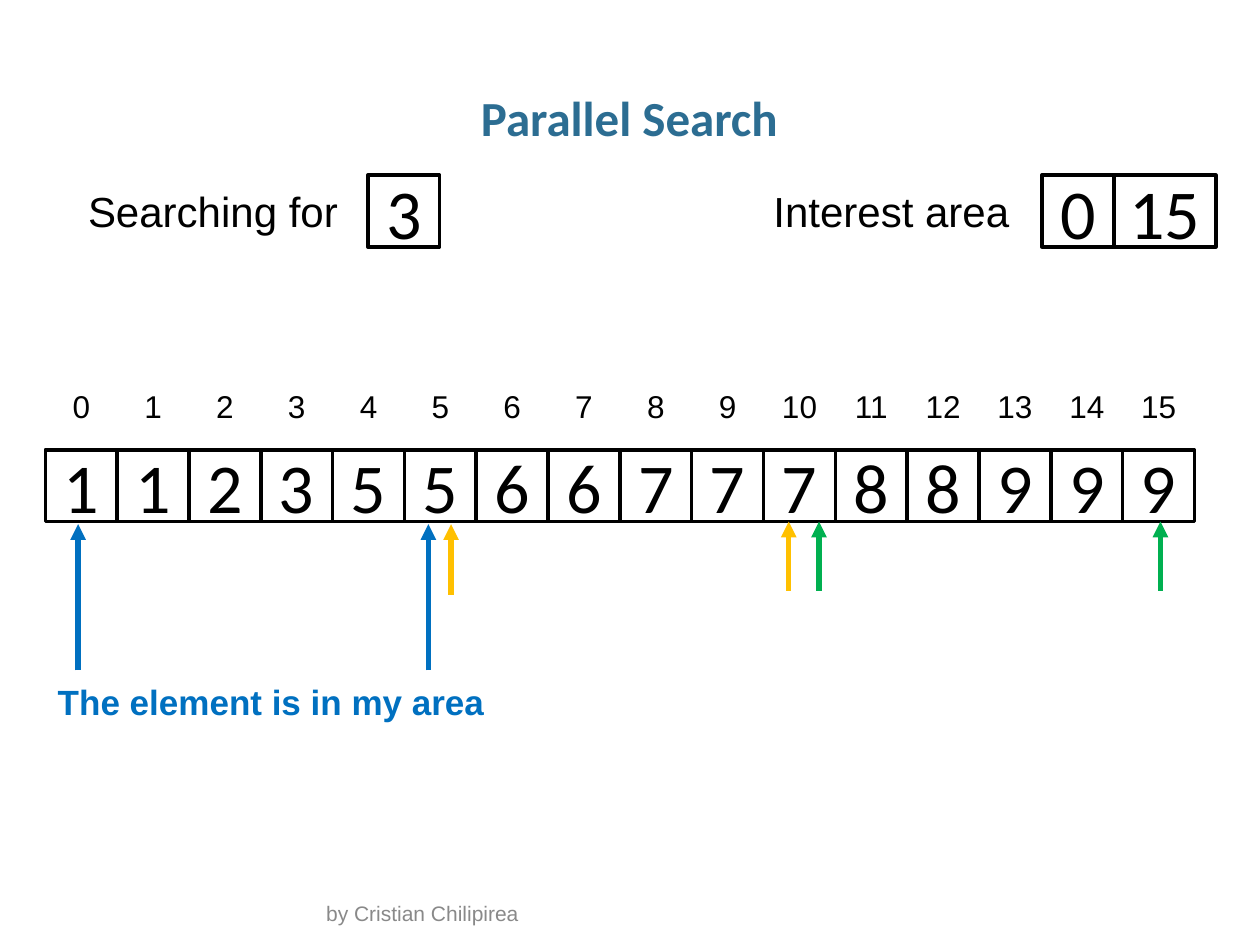
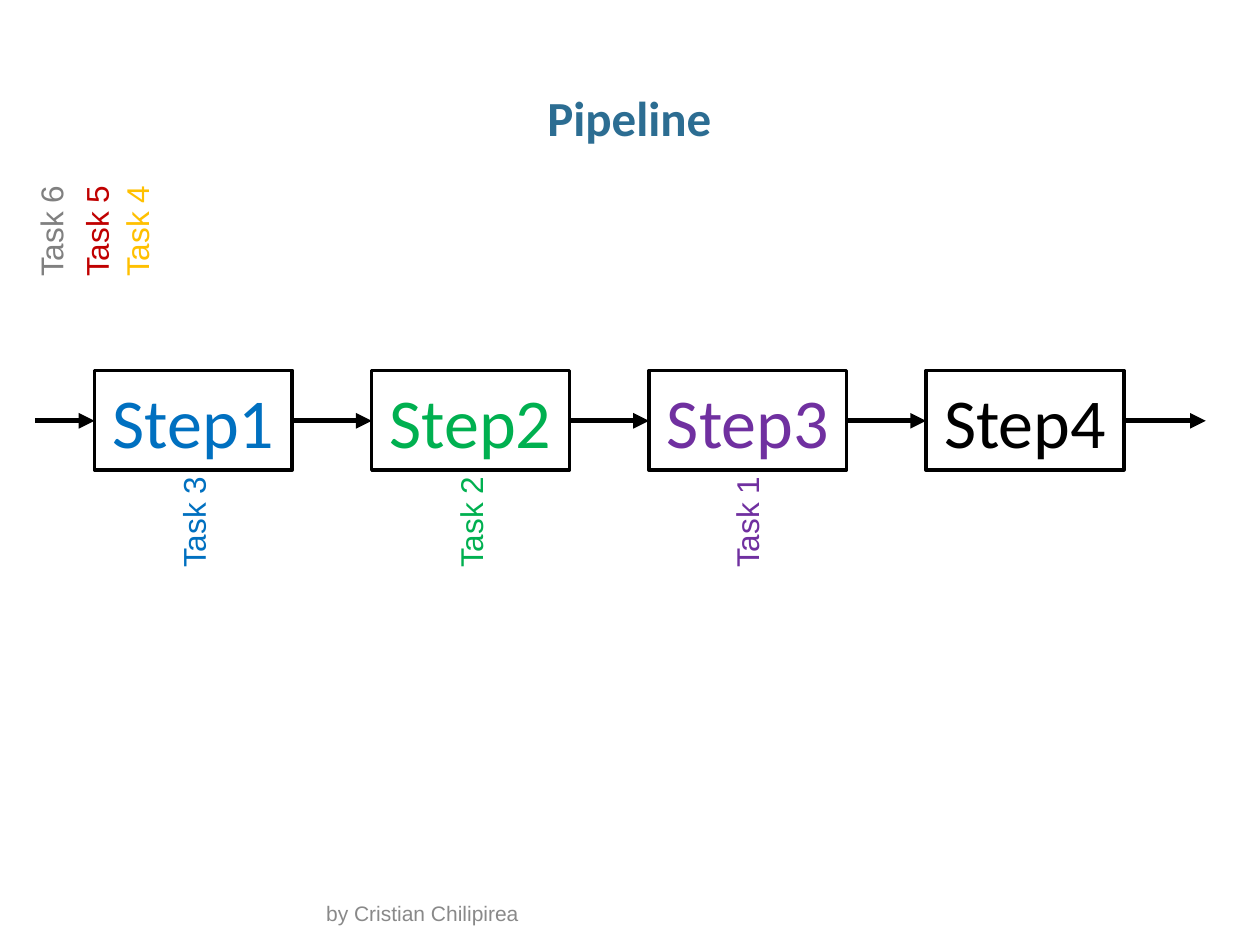
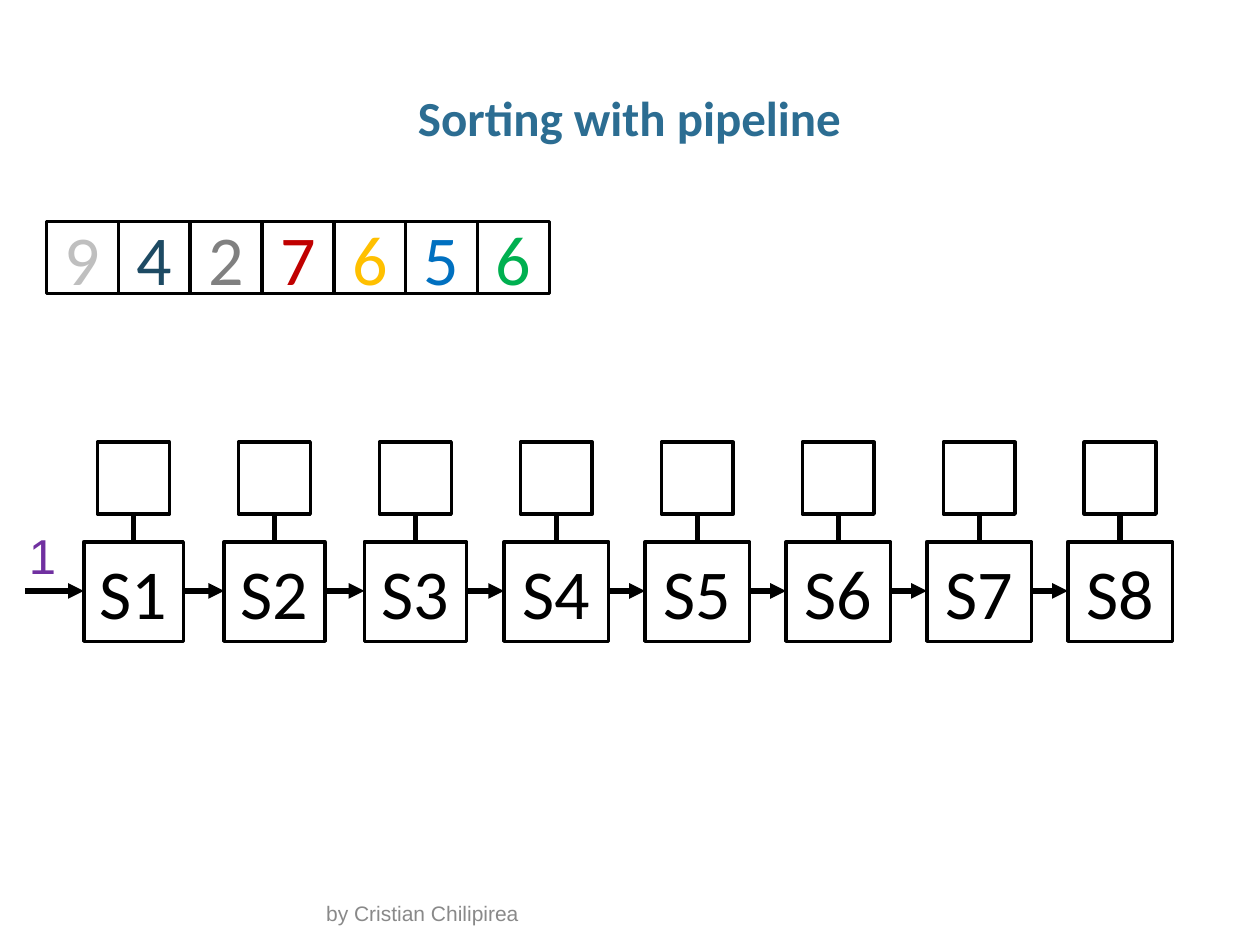
from pptx import Presentation
from pptx.dml.color import RGBColor
from pptx.enum.shapes import MSO_CONNECTOR, MSO_SHAPE
from pptx.enum.text import MSO_ANCHOR, MSO_AUTO_SIZE, PP_ALIGN
from pptx.oxml.ns import qn
from pptx.util import Inches, Pt
from lxml.etree import SubElement

# Colours
BLACK = RGBColor(0x00, 0x00, 0x00)
TITLE_BLUE = RGBColor(0x2C, 0x6D, 0x92)
FOOTER_GREY = RGBColor(0x89, 0x89, 0x89)
BLUE = RGBColor(0x00, 0x70, 0xC0)
NAVY = RGBColor(0x1D, 0x4A, 0x63)
GREEN = RGBColor(0x00, 0xB0, 0x50)
AMBER = RGBColor(0xFF, 0xC0, 0x00)
PURPLE = RGBColor(0x70, 0x30, 0xA0)
RED = RGBColor(0xC0, 0x00, 0x00)
GREY = RGBColor(0x80, 0x80, 0x80)
SILVER = RGBColor(0xBF, 0xBF, 0xBF)

# Font formats
TITLE = {"name": "Calibri", "size": Pt(28), "bold": True}
VALUE = {"name": "Calibri", "size": Pt(40)}
FOOTER = {"name": "Arial", "size": Pt(12)}
INDEX = {"name": "Arial", "size": Pt(18)}
TASK = INDEX
CAPTION = {"name": "Arial", "size": Pt(24)}
FINDING = {"name": "Arial", "size": Pt(20), "bold": True}
INPUT = {"name": "Arial", "size": Pt(28)}

CELL = 0.57  # side of an array cell


def write(frame, text, font_format, color, align=PP_ALIGN.LEFT):
    paragraph = frame.paragraphs[0]
    paragraph.alignment = align
    run = paragraph.add_run()
    run.text = text
    for attribute, value in font_format.items():
        setattr(run.font, attribute, value)
    run.font.color.rgb = color
    return paragraph


def add_label(slide, text, left, top, width, height, font_format,
              color=BLACK, align=PP_ALIGN.LEFT, rotation=0):
    label = slide.shapes.add_textbox(
        Inches(left), Inches(top), Inches(width), Inches(height))
    label.rotation = rotation
    label.text_frame.word_wrap = False
    label.text_frame.auto_size = MSO_AUTO_SIZE.SHAPE_TO_FIT_TEXT
    write(label.text_frame, text, font_format, color, align)


def add_box(slide, left, top, width=CELL, height=CELL, text="", color=BLACK):
    box = slide.shapes.add_shape(
        MSO_SHAPE.RECTANGLE,
        Inches(left), Inches(top), Inches(width), Inches(height))
    box.shadow.inherit = False
    box.fill.background()
    box.line.color.rgb = BLACK
    box.line.width = Pt(2)
    if text:
        write(box.text_frame, text, VALUE, color, PP_ALIGN.CENTER)


def add_array(slide, left, top, values, colors):
    for i, (value, color) in enumerate(zip(values, colors)):
        add_box(slide, left + i * CELL, top, text=value, color=color)


def add_line(slide, start, end, color=BLACK, arrow=True):
    line = slide.shapes.add_connector(
        MSO_CONNECTOR.STRAIGHT, *(Inches(n) for n in (*start, *end)))
    line.line.color.rgb = color
    line.line.width = Pt(3)
    if arrow:
        SubElement(line.line._get_or_add_ln(), qn("a:tailEnd"), type="triangle")
    SubElement(line._element.spPr, qn("a:effectLst"))


def add_titled_slide(prs, heading):
    slide = prs.slides.add_slide(prs.slide_layouts[5])

    # Footer
    footer = slide.shapes.add_textbox(
        Inches(2.49), Inches(7.16), Inches(5.02), Inches(0.24)).text_frame
    footer.word_wrap = True
    footer.vertical_anchor = MSO_ANCHOR.BOTTOM
    write(footer, "by Cristian Chilipirea", FOOTER, FOOTER_GREY)

    # Title
    title = slide.shapes.title
    title.left, title.top = Inches(0.34), Inches(0.68)
    title.width, title.height = Inches(9.31), Inches(0.5)
    frame = title.text_frame
    frame.auto_size = MSO_AUTO_SIZE.NONE
    frame.vertical_anchor = MSO_ANCHOR.TOP
    frame.margin_left = frame.margin_right = 0
    write(frame, heading, TITLE, TITLE_BLUE, PP_ALIGN.CENTER).line_spacing = 0.95
    return slide


def build_search(prs):
    slide = add_titled_slide(prs, "Parallel Search")

    # Sorted array with its indices
    left, values = 0.36, "1123556677788999"
    add_array(slide, left, 3.57, values, [BLACK] * len(values))
    for i in range(len(values)):
        width = 0.34 if i < 10 else 0.48
        add_label(slide, str(i), left + i * CELL + (CELL - width) / 2, 3.02,
                  width, 0.4, INDEX, align=PP_ALIGN.CENTER)

    # Target and interest area
    add_label(slide, "Searching for", 0.6, 1.42, 2.21, 0.5, CAPTION)
    add_box(slide, 2.92, 1.39, text="3")
    add_label(slide, "Interest area", 6.04, 1.42, 2.09, 0.5, CAPTION)
    add_box(slide, 8.27, 1.39, text="0")
    add_box(slide, 8.84, 1.39, width=0.81, text="15")

    # Bounds of each worker's area
    for x, bottom, top, color in (
            (0.62, 5.32, 4.16, BLUE), (3.4, 5.32, 4.16, BLUE),
            (3.58, 4.72, 4.16, AMBER), (6.26, 4.69, 4.14, AMBER),
            (6.5, 4.69, 4.14, GREEN), (9.21, 4.69, 4.14, GREEN)):
        add_line(slide, (x, bottom), (x, top), color)
    add_label(slide, "The element is in my area", 0.36, 5.35, 3.61, 0.44,
              FINDING, BLUE)


def build_pipeline(prs):
    slide = add_titled_slide(prs, "Pipeline")

    # Steps and the arrows into and out of them
    first, pitch, width, middle = 0.75, 2.2, 1.57, 3.34
    steps = [first + i * pitch for i in range(4)]
    for i, color in enumerate((BLUE, GREEN, PURPLE, BLACK)):
        add_box(slide, steps[i], 2.94, width, 0.79, f"Step{i + 1}", color)
    starts = [0.28] + [step + width for step in steps]
    for start, end in zip(starts, steps + [9.57]):
        add_line(slide, (start, middle), (end, middle))

    # Tasks under their steps, then those waiting
    for number, left, top, color in (
            (1, 5.46, 3.94, PURPLE), (2, 3.27, 3.94, GREEN),
            (3, 1.07, 3.94, BLUE), (4, 0.62, 1.63, AMBER),
            (5, 0.3, 1.63, RED), (6, -0.06, 1.63, GREY)):
        add_label(slide, f"Task {number}", left, top, 0.93, 0.4, TASK, color,
                  rotation=270)


def build_sorting(prs):
    slide = add_titled_slide(prs, "Sorting with pipeline")

    # Values still to enter the pipeline
    add_array(slide, 0.37, 1.76, "9427656",
              (SILVER, NAVY, GREY, RED, AMBER, BLUE, GREEN))

    # Stages, each with an arrow in and a memory cell above
    first, last, middle = 1.06, 8.89, 4.69
    widths = [0.79, 0.8, 0.81] + [0.83] * 5
    pitch = (last - first) / (len(widths) - 1)
    arrow_start = 0.2
    for i, width in enumerate(widths):
        center = first + i * pitch
        left = center - width / 2
        add_box(slide, left, 4.3, width, 0.79, f"S{i + 1}")
        add_box(slide, center - CELL / 2, 3.51)
        add_line(slide, (center, 4.3), (center, 3.51 + CELL), arrow=False)
        add_line(slide, (arrow_start, middle), (left, middle))
        arrow_start = left + width

    # Value entering the first stage
    add_label(slide, "1", 0.13, 4.12, 0.42, 0.57, INPUT, PURPLE)


def main():
    prs = Presentation()
    prs.slide_width, prs.slide_height = Inches(10), Inches(7.5)
    build_search(prs)
    build_pipeline(prs)
    build_sorting(prs)
    prs.save("out.pptx")


if __name__ == "__main__":
    main()
